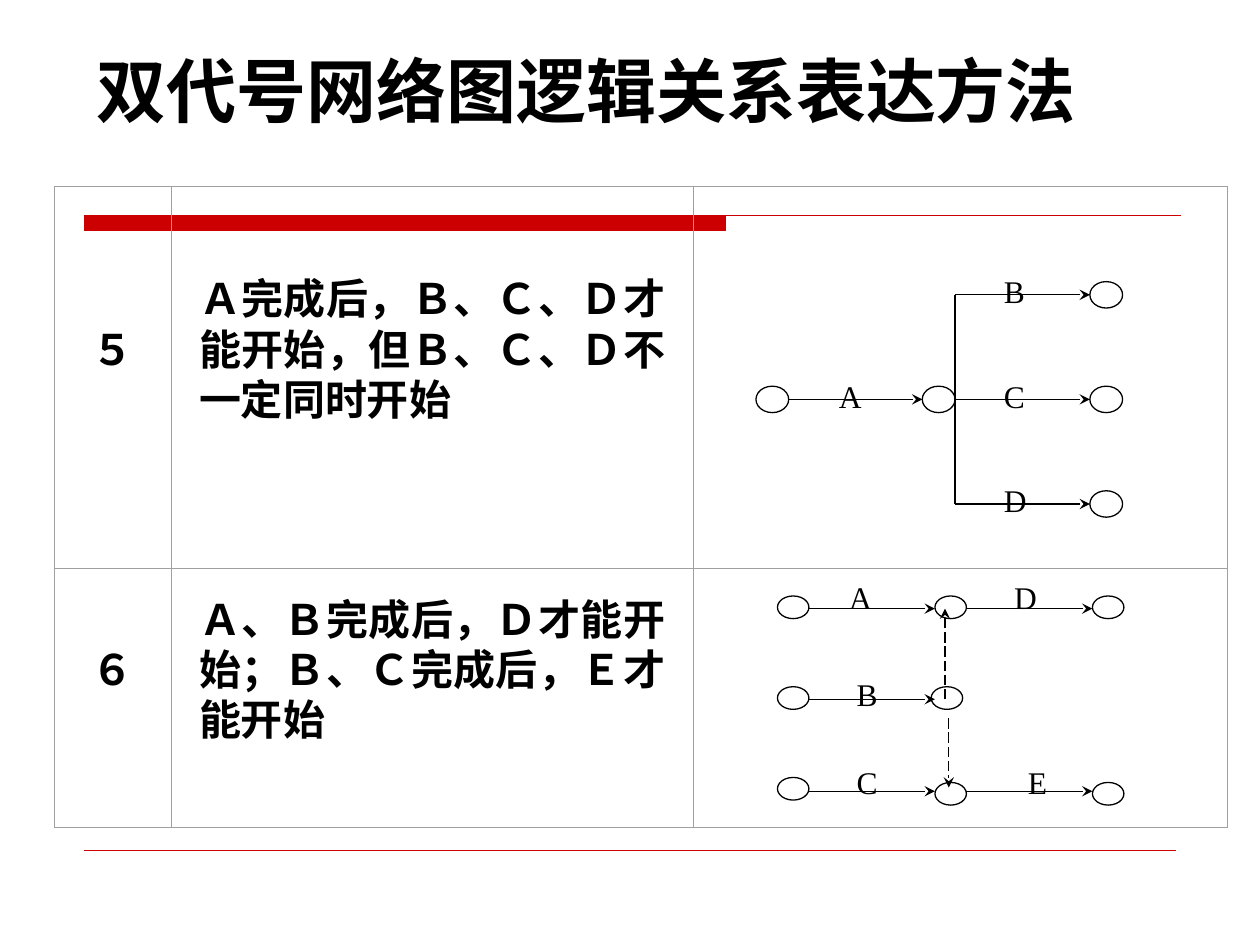
from dataclasses import dataclass

from pptx import Presentation
from pptx.dml.color import RGBColor
from pptx.enum.dml import MSO_LINE
from pptx.enum.shapes import MSO_CONNECTOR, MSO_SHAPE
from pptx.enum.text import MSO_ANCHOR, PP_ALIGN
from pptx.oxml.ns import qn
from pptx.oxml.xmlchemy import OxmlElement
from pptx.util import Inches, Pt

STRAIGHT = MSO_CONNECTOR.STRAIGHT
OVAL = MSO_SHAPE.OVAL
LONG_DASH = MSO_LINE.LONG_DASH
MIDDLE = MSO_ANCHOR.MIDDLE
LEFT, CENTER, JUSTIFY = PP_ALIGN.LEFT, PP_ALIGN.CENTER, PP_ALIGN.JUSTIFY


@dataclass(frozen=True)
class Theme:
    ink: str = "000000"
    paper: str = "FFFFFF"
    accent: str = "CC0000"
    grid: str = "A0A0A0"
    latin: str = "Times New Roman"
    chinese: str = "Noto Sans CJK SC"
    title_size: float = 40
    body_size: float = 24
    body_leading: float = 28.6
    label_size: float = 18
    stroke: float = 0.75
    hairline: float = 0.25


class Painter:
    def __init__(self, slide, theme):
        self.slide = slide
        self.theme = theme

    def style(self, paragraph, size, latin, bold=False, align=LEFT):
        paragraph.alignment = align
        font = paragraph.font
        font.size, font.name, font.bold = Pt(size), latin, bold
        font.color.rgb = RGBColor.from_string(self.theme.ink)
        east_asian = OxmlElement("a:ea")
        east_asian.set("typeface", self.theme.chinese)
        defaults = paragraph._p.get_or_add_pPr().find(qn("a:defRPr"))
        defaults.find(qn("a:latin")).addnext(east_asian)

    def text(self, content, left, top, width, height, size, bold=False):
        box = self.slide.shapes.add_textbox(
            Inches(left), Inches(top), Inches(width), Inches(height))
        box.text_frame.word_wrap = True
        paragraph = box.text_frame.paragraphs[0]
        paragraph.text = content
        self.style(paragraph, size, self.theme.latin, bold)

    def label(self, content, left, top):
        self.text(content, left, top, 0.5, 0.4, self.theme.label_size)

    def line(self, start, end, color=None, width=None, arrow=False, dash=None):
        connector = self.slide.shapes.add_connector(
            STRAIGHT, *(Inches(value) for value in (*start, *end)))
        connector.line.color.rgb = RGBColor.from_string(color or self.theme.ink)
        connector.line.width = Pt(width or self.theme.stroke)
        if dash:
            connector.line.dash_style = dash
        if arrow:
            tail = OxmlElement("a:tailEnd")
            tail.set("type", "stealth")
            connector.line._get_or_add_ln().append(tail)
        connector._element.spPr.append(OxmlElement("a:effectLst"))

    def arrow(self, start, end, dash=None):
        self.line(start, end, arrow=True, dash=dash)

    def node(self, left, top, width, height):
        oval = self.slide.shapes.add_shape(
            OVAL, Inches(left), Inches(top), Inches(width), Inches(height))
        oval.shadow.inherit = False
        oval.fill.solid()
        oval.fill.fore_color.rgb = RGBColor.from_string(self.theme.paper)
        oval.line.color.rgb = RGBColor.from_string(self.theme.ink)
        oval.line.width = Pt(self.theme.stroke)

    def title_rule(self, left, top, block_right, right, bottom):
        """Thick block that runs on to the right as a thin line."""
        builder = self.slide.shapes.build_freeform(
            Inches(left), Inches(top), scale=1.0)
        block = [(block_right, top), (block_right, bottom), (left, bottom)]
        builder.add_line_segments(
            [(Inches(x), Inches(y)) for x, y in block], close=True)
        builder.move_to(Inches(left), Inches(top))
        builder.add_line_segments([(Inches(right), Inches(top))], close=False)
        rule = builder.convert_to_shape()
        rule.shadow.inherit = False
        color = RGBColor.from_string(self.theme.accent)
        rule.fill.solid()
        rule.fill.fore_color.rgb = color
        rule.line.color.rgb = color
        rule.line.width = Pt(self.theme.stroke)

    def border(self, cell, side, width):
        edge = OxmlElement(f"a:{side}")
        edge.set("w", str(Pt(width)))
        fill = OxmlElement("a:solidFill")
        color = OxmlElement("a:srgbClr")
        color.set("val", self.theme.grid)
        fill.append(color)
        edge.append(fill)
        cell._tc.get_or_add_tcPr().append(edge)

    def table(self, rows, left, top, widths, heights):
        frame = self.slide.shapes.add_table(
            len(heights), len(widths), Inches(left), Inches(top),
            Inches(sum(widths)), Inches(sum(heights)))
        table = frame.table
        table.first_row = table.horz_banding = False
        for column, width in zip(table.columns, widths):
            column.width = Inches(width)
        for row, height in zip(table.rows, heights):
            row.height = Inches(height)
        last_row, last_column = len(heights) - 1, len(widths) - 1
        for r, contents in enumerate(rows):
            for c, content in enumerate(contents):
                cell = table.cell(r, c)
                outer_sides = {"lnL": c == 0, "lnR": c == last_column,
                               "lnT": r == 0, "lnB": r == last_row}
                for side, outer in outer_sides.items():
                    self.border(cell, side, self.theme.stroke if outer
                                else self.theme.hairline)
                cell.fill.background()
                cell.vertical_anchor = MIDDLE
                cell.margin_left = cell.margin_right = Inches(0.22)
                cell.margin_bottom = Inches(0.45)
                paragraph = cell.text_frame.paragraphs[0]
                paragraph.text = content
                paragraph.line_spacing = Pt(self.theme.body_leading)
                self.style(paragraph, self.theme.body_size, self.theme.chinese,
                           bold=True, align=JUSTIFY if c else CENTER)


def draw_branching_network(painter):
    width, height = 0.26, 0.21
    start, fork, finish = 6, 7.32, 8.65
    middle, step = 3.17, 0.83
    fork_right = fork + width
    for left in (start, fork):
        painter.node(left, middle - height / 2, width, height)
    painter.arrow((start + width, middle), (fork, middle))
    painter.label("A", 6.56, 2.94)
    for index, name in enumerate("BCD"):
        y = middle + (index - 1) * step
        painter.node(finish, y - height / 2, width, height)
        if y != middle:
            painter.line((fork_right, middle), (fork_right, y))
        painter.arrow((fork_right, y), (finish, y))
        painter.label(name, 7.87, y - 0.23)


def draw_crossing_network(painter):
    width, height = 0.25, 0.18
    start, join, finish = 6.17, 7.42, 8.67
    upper, centre, lower = 4.83, 5.55, 6.28
    nodes = [(start, 4.73), (join, 4.73), (finish, 4.73),
             (start, 5.45), (7.39, 5.45),
             (start, 6.17), (join, 6.21), (finish, 6.21)]
    for left, top in nodes:
        painter.node(left, top, width, height)
    for y in (upper, centre, lower):
        painter.arrow((start + width, y), (join, y))
    for y in (upper, lower):
        painter.arrow((join + width, y), (finish, y))
    painter.arrow((7.5, centre), (7.5, upper), dash=LONG_DASH)
    painter.arrow((7.53, 5.7), (7.53, 6.25), dash=LONG_DASH)
    for name, left, top in [("A", 6.64, 4.54), ("B", 6.7, 5.31),
                            ("C", 6.7, 6.01), ("D", 7.95, 4.54),
                            ("E", 8.06, 6.01)]:
        painter.label(name, left, top)


def main():
    deck = Presentation()
    deck.slide_width, deck.slide_height = Inches(10), Inches(7.5)
    theme = Theme()
    painter = Painter(deck.slides.add_slide(deck.slide_layouts[6]), theme)
    painter.title_rule(0.67, 1.71, 5.76, 9.37, 1.83)
    painter.line((0.67, 6.75), (9.33, 6.75), theme.accent, theme.hairline)
    rows = [
        ("５", "Ａ完成后，Ｂ、Ｃ、Ｄ才能开始，但Ｂ、Ｃ、Ｄ不一定同时开始", ""),
        ("６", "Ａ、Ｂ完成后，Ｄ才能开始；Ｂ、Ｃ完成后，Ｅ才能开始", ""),
    ]
    painter.table(rows, 0.43, 1.48, (0.93, 4.14, 4.24), (3.03, 2.06))
    draw_branching_network(painter)
    draw_crossing_network(painter)
    painter.text("双代号网络图逻辑关系表达方法", 0.67, 0.33, 8.42, 0.77,
                 theme.title_size, bold=True)
    deck.save("out.pptx")


if __name__ == "__main__":
    main()
